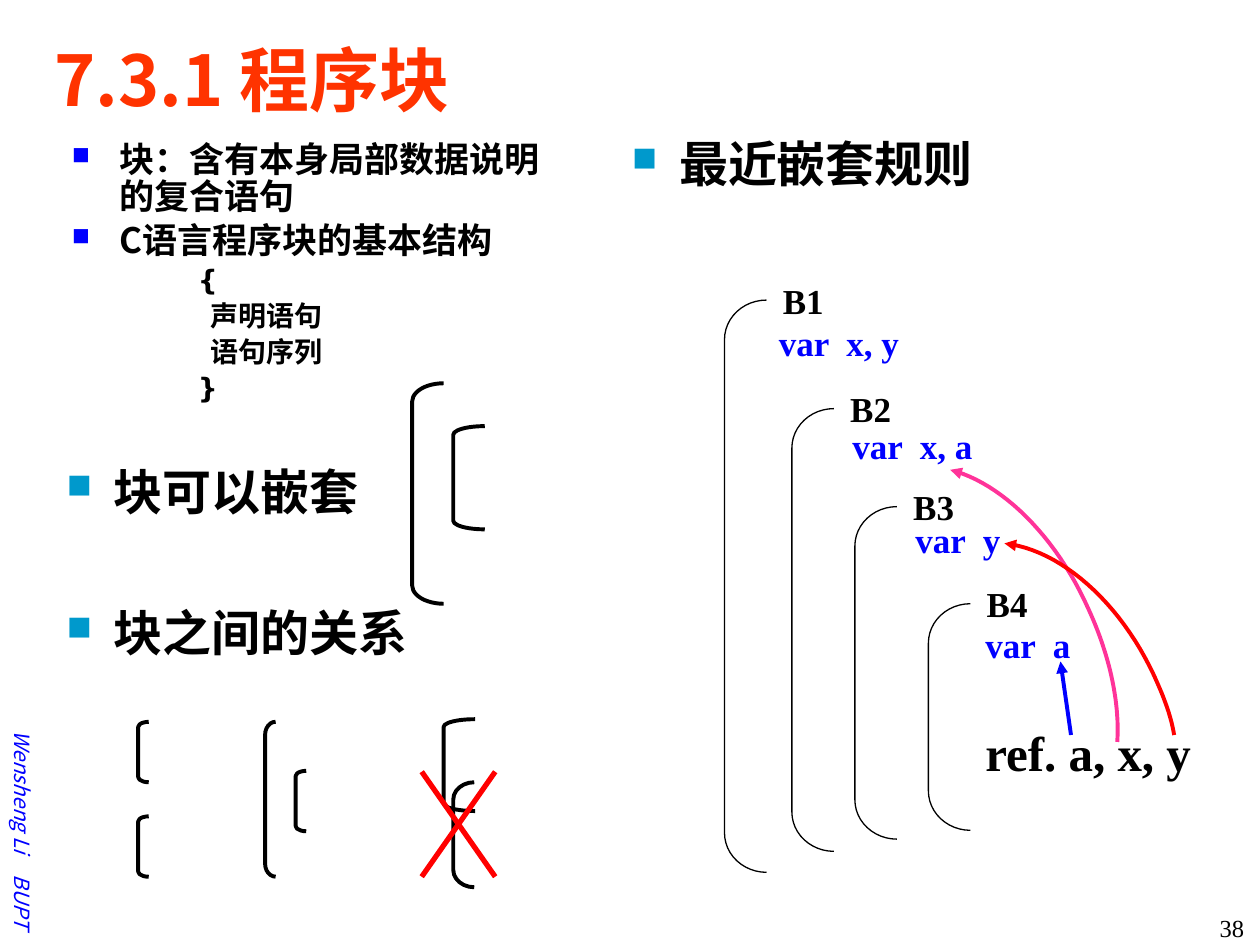
from pptx import Presentation
from pptx.dml.color import RGBColor
from pptx.enum.shapes import MSO_CONNECTOR, MSO_SHAPE
from pptx.enum.text import MSO_ANCHOR, PP_ALIGN
from pptx.oxml.ns import qn
from pptx.util import Pt
from lxml import etree

LEFT, MID, RIGHT = PP_ALIGN.LEFT, PP_ALIGN.CENTER, PP_ALIGN.RIGHT
TOP, CENTER = MSO_ANCHOR.TOP, MSO_ANCHOR.MIDDLE
BRACKET, STRAIGHT = MSO_SHAPE.LEFT_BRACKET, MSO_CONNECTOR.STRAIGHT
BLACK = RGBColor(0x00, 0x00, 0x00)
BLUE = RGBColor(0x00, 0x00, 0xFF)
RED = RGBColor(0xFF, 0x00, 0x00)
PINK = RGBColor(0xFF, 0x33, 0x99)
TEAL = RGBColor(0x00, 0x99, 0xCC)
ORANGE = RGBColor(0xFF, 0x33, 0x00)
SANS, SERIF, MONO = "Noto Sans CJK SC", "Times New Roman", "DejaVu Sans"


def curve(points, steps=24):
    """Sample a chain of cubic Bezier curves."""
    out = [points[0]]
    for i in range(0, len(points) - 1, 3):
        a, b, c, d = points[i:i + 4]
        for k in range(1, steps + 1):
            t = k / steps
            u = 1 - t
            out.append(tuple(
                u ** 3 * p + 3 * u * u * t * q + 3 * u * t * t * r + t ** 3 * s
                for p, q, r, s in zip(a, b, c, d)))
    return out


class Deck:
    """Hold the style and the current slide."""

    def __init__(self):
        self.prs = Presentation()
        self.prs.slide_width, self.prs.slide_height = Pt(720), Pt(540)
        self.slide = self.prs.slides.add_slide(self.prs.slide_layouts[5])
        self.shapes = self.slide.shapes

    def run(self, para, text, size, color=BLACK, face=SANS, bold=True, italic=False):
        run = para.add_run()
        run.text = text
        font = run.font
        font.size, font.bold, font.italic = Pt(size), bold, italic
        font.color.rgb, font.name = color, face
        etree.SubElement(font._element, qn("a:ea"), typeface=face)

    def title(self, text, left, top, width, height):
        box = self.shapes.title
        box.left, box.top, box.width, box.height = map(Pt, (left, top, width, height))
        box.text_frame.vertical_anchor = CENTER
        para = box.text_frame.paragraphs[0]
        para.alignment = LEFT
        self.run(para, text, 40, ORANGE)

    def box(self, left, top, width, height, anchor=TOP, wrap=True):
        box = self.shapes.add_textbox(*map(Pt, (left, top, width, height)))
        box.text_frame.word_wrap = wrap
        box.text_frame.vertical_anchor = anchor
        return box

    def label(self, text, area, size, align=LEFT, anchor=CENTER, wrap=False, turn=0, **look):
        box = self.box(*area, anchor, wrap)
        box.rotation = turn
        para = box.text_frame.paragraphs[0]
        para.alignment = align
        self.run(para, text, size, **look)

    def bullet(self, para, color):
        props = para._p.get_or_add_pPr()
        props.set("marL", str(Pt(27)))
        props.set("indent", str(-Pt(27)))
        tint = etree.SubElement(props, qn("a:buClr"))
        etree.SubElement(tint, qn("a:srgbClr"), val=str(color))
        etree.SubElement(props, qn("a:buSzPct"), val="70000")
        etree.SubElement(props, qn("a:buChar"), char="■")

    def point(self, text, left, top, width):
        para = self.box(left, top, width, 48).text_frame.paragraphs[0]
        self.bullet(para, TEAL)
        self.run(para, text, 28)

    def body(self, points, code, area):
        frame = self.box(*area).text_frame
        rows = [(text, 20, SANS) for text in points] + [(text, 16, face) for text, face in code]
        for i, (text, size, face) in enumerate(rows):
            para = frame.add_paragraph() if i else frame.paragraphs[0]
            para.line_spacing = Pt(size + 1)
            if i:
                para.space_before = Pt(size * 0.22)
            if size == 20:
                self.bullet(para, BLUE)
            else:
                para._p.get_or_add_pPr().set("marL", str(Pt(72)))
            self.run(para, text, size, face=face)

    def stroke(self, shape, color, width, head=False):
        shape.line.color.rgb, shape.line.width = color, Pt(width)
        if head:
            etree.SubElement(shape.line._get_or_add_ln(), qn("a:tailEnd"), type="triangle")

    def bracket(self, left, top, width, height, bend=None, line=2.25):
        shape = self.shapes.add_shape(BRACKET, *map(Pt, (left, top, width, height)))
        shape.adjustments[0] = bend or height / width / 12
        shape.fill.background()
        shape.shadow.inherit = False
        self.stroke(shape, BLACK, line)

    def line(self, start, end, color, width, head=False):
        link = self.shapes.add_connector(STRAIGHT, *map(Pt, start + end))
        self.stroke(link, color, width, head)
        etree.SubElement(link._element.spPr, qn("a:effectLst"))

    def arc(self, points, color):
        first, *rest = [(Pt(x), Pt(y)) for x, y in curve(points)]
        pen = self.shapes.build_freeform(*first)
        pen.add_line_segments(rest, close=False)
        shape = pen.convert_to_shape()
        shape.fill.background()
        shape.shadow.inherit = False
        self.stroke(shape, color, 2.25, True)


def main():
    deck = Deck()
    deck.title("7.3.1 程序块", 24, 12, 678, 66)
    deck.label("Wensheng Li　BUPT", (-82, 432, 190, 21.6), 12, RIGHT, wrap=True, turn=90,
               color=BLUE, bold=False, italic=True)
    deck.label("38", (658, 518.4, 60, 21.6), 14, RIGHT, TOP, True, face=SERIF, bold=False)

    deck.body(["块：含有本身局部数据说明的复合语句", "C语言程序块的基本结构"],
              [("{", MONO), ("  声明语句", SANS), ("  语句序列", SANS), ("}", MONO)],
              (34, 78, 284, 162))
    deck.point("块可以嵌套", 31, 260, 294)
    deck.point("块之间的关系", 31, 361 - 20, 324)
    deck.point("最近嵌套规则", 354, 73, 324)

    for area in [(235.5, 219, 18, 126), (259, 243.5, 18, 59),
                 (79, 412.5, 6, 34.5), (79, 466.5, 6, 34.5),
                 (151.5, 412.5, 6, 88.5), (169, 440.5, 6, 34.5),
                 (259, 447, 12, 60, 0.83), (253.5, 411, 18, 52.5)]:
        deck.bracket(*area)
    deck.line((283, 441), (241, 501), RED, 3)
    deck.line((241, 441), (283, 501), RED, 3)

    scopes = [("B1", 414, 171.5, 327, "var  x, y", 438, 180, 83.5),
              ("B2", 452.5, 233.5, 253, "var  x, a", 480, 239, 83.5),
              ("B3", 488.5, 289.5, 190, "var  y", 516, 293, 63.5),
              ("B4", 530.5, 345, 129.5, "var  a", 556, 353, 63.5)]
    for name, left, top, height, text, x, y, width in scopes:
        deck.bracket(left, top, 24, height, 0.94, 0.75)
        deck.label(name, (left + 26, top - 15.5, 38, 31), 20, MID, face=SERIF)
        deck.label(text, (x, y, width, 31), 20, color=BLUE, face=SERIF)
    deck.label("ref. a, x, y", (556, 409, 132.5, 41), 28, face=SERIF)

    deck.line((612, 420), (606, 378), BLUE, 2.25, True)
    deck.arc([(638.5, 424), (640, 400), (633.5, 373), (622, 348),
              (603.5, 306.5), (572.5, 276), (543, 268.5)], PINK)
    deck.arc([(671, 420), (669, 408), (664.5, 397), (659.5, 386),
              (640, 344), (606, 314), (574, 310.5)], RED)
    deck.prs.save("out.pptx")


if __name__ == "__main__":
    main()
